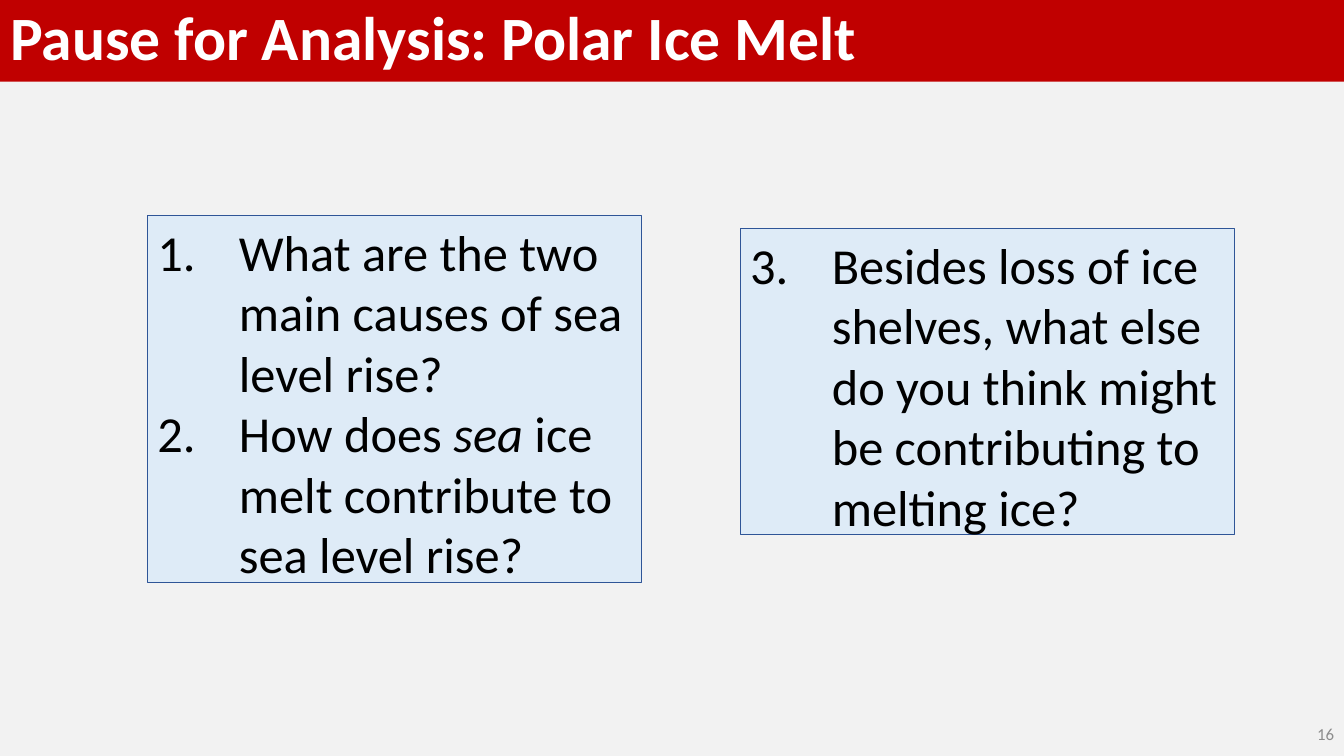
import pptx
import pptx.util
import pptx.dml.color
import pptx.enum.text
from dataclasses import dataclass
from lxml import etree
from pptx.oxml.ns import qn

Inches = pptx.util.Inches
Pt = pptx.util.Pt
Align = pptx.enum.text.PP_ALIGN
Anchor = pptx.enum.text.MSO_ANCHOR
Fit = pptx.enum.text.MSO_AUTO_SIZE


@dataclass(frozen=True)
class Theme:
    face: str = "Calibri"
    back: str = "F2F2F2"
    band: str = "C00000"
    white: str = "FFFFFF"
    black: str = "000000"
    gray: str = "8C8C8C"
    panel: str = "DEEBF7"
    edge: str = "2F5597"
    head: int = 44
    body: int = 36
    foot: int = 12


THEME = Theme()


def paint(fill, color):
    fill.solid()
    fill.fore_color.rgb = pptx.dml.color.RGBColor.from_string(color)


def apply(item, values):
    for name, value in values.items():
        setattr(item, name, value)


def place(shape, left, top, width, height):
    apply(shape, {"left": Inches(left), "top": Inches(top),
                  "width": Inches(width), "height": Inches(height)})


def style(font, size, color, bold=False):
    apply(font, {"name": THEME.face, "size": Pt(size), "bold": bold})
    paint(font.fill, color)


def number(para, start):
    props = para._p.get_or_add_pPr()
    hang = Inches(0.81)
    props.set("marL", str(hang))
    props.set("indent", str(-hang))
    mark = etree.SubElement(props, qn("a:buAutoNum"), type="arabicPeriod")
    if start > 1:
        mark.set("startAt", str(start))


def add_title(slide, text):
    title = slide.shapes.title
    place(title, 0, 0, 13.33, 0.81)
    paint(title.fill, THEME.band)
    frame = title.text_frame
    frame.text = text
    apply(frame, {"word_wrap": True, "auto_size": Fit.NONE,
                  "vertical_anchor": Anchor.MIDDLE})
    para = frame.paragraphs[0]
    apply(para, {"alignment": Align.LEFT, "line_spacing": 0.9})
    style(para.runs[0].font, THEME.head, THEME.white, True)


def add_list(box, area, items, start=1):
    place(box, *area)
    paint(box.fill, THEME.panel)
    paint(box.line.fill, THEME.edge)
    box.line.width = Pt(0.75)
    frame = box.text_frame
    apply(frame, {"word_wrap": True, "auto_size": Fit.SHAPE_TO_FIT_TEXT,
                  "vertical_anchor": Anchor.TOP})
    for index, parts in enumerate(items):
        para = frame.add_paragraph() if index else frame.paragraphs[0]
        number(para, start)
        apply(para, {"alignment": Align.LEFT, "space_before": Pt(0)})
        for text, slant in parts:
            run = para.add_run()
            run.text = text
            style(run.font, THEME.body, THEME.black)
            run.font.italic = slant


def add_page(slide, text):
    box = slide.shapes.add_textbox(0, 0, 0, 0)
    place(box, 10.33, 7.08, 3, 0.4)
    frame = box.text_frame
    frame.text = text
    apply(frame, {"word_wrap": True, "vertical_anchor": Anchor.MIDDLE})
    para = frame.paragraphs[0]
    para.alignment = Align.RIGHT
    style(para.runs[0].font, THEME.foot, THEME.gray)


def main():
    deck = pptx.Presentation()
    apply(deck, {"slide_width": Inches(13.33), "slide_height": Inches(7.5)})
    slide = deck.slides.add_slide(deck.slide_layouts.get_by_name("Two Content"))
    paint(slide.background.fill, THEME.back)
    add_title(slide, "Pause for Analysis: Polar Ice Melt")
    left, right = list(slide.placeholders)[1:3]
    add_list(left, (1.46, 2.14, 4.9, 3.74), [
        [("What are the two main causes of sea level rise?", False)],
        [("How does ", False), ("sea", True),
         (" ice melt contribute to sea level rise?", False)],
    ])
    add_list(right, (7.34, 2.27, 4.9, 3.13), [
        [("Besides loss of ice shelves, what else do you think might "
          "be contributing to melting ice?", False)],
    ], start=3)
    add_page(slide, "16")
    deck.save("out.pptx")


if __name__ == "__main__":
    main()
